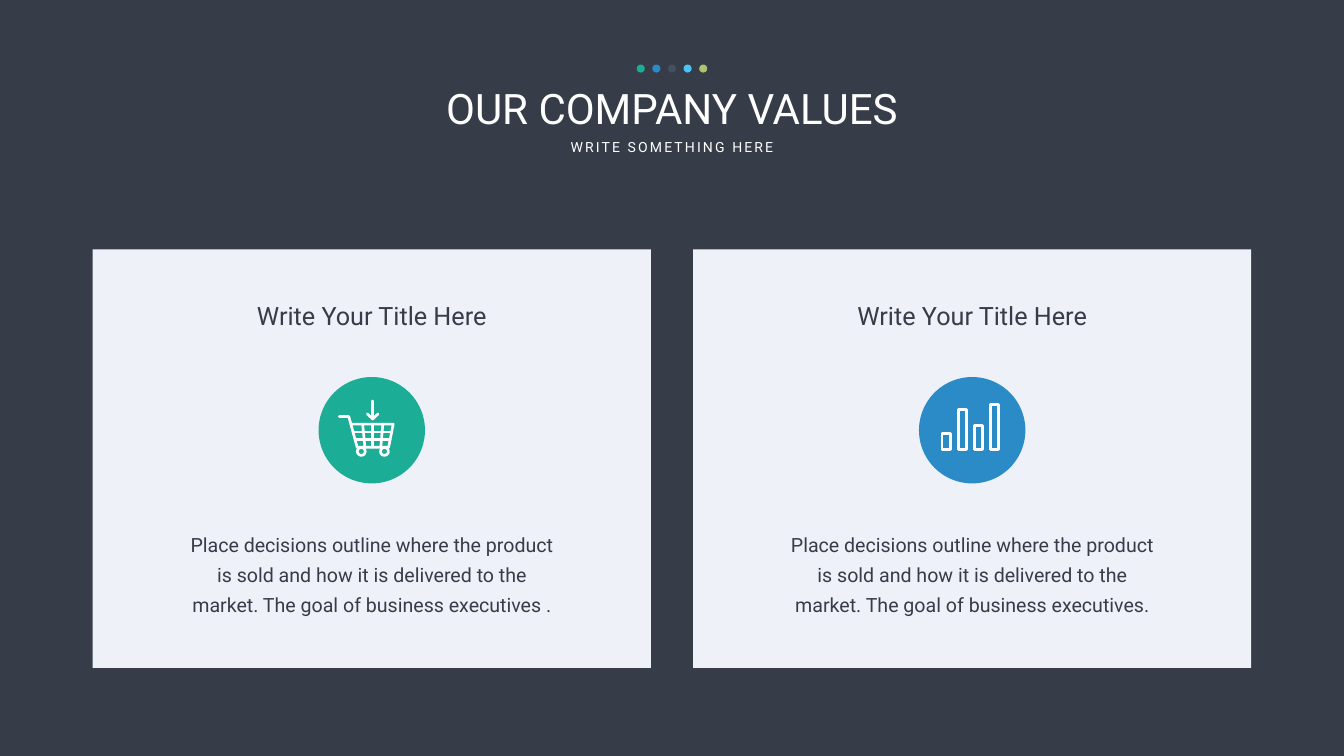
from lxml.etree import SubElement
from pptx import Presentation
from pptx.dml.color import RGBColor
from pptx.enum.shapes import MSO_SHAPE
from pptx.enum.text import MSO_ANCHOR, PP_ALIGN
from pptx.oxml.ns import qn
from pptx.util import Pt

COLORS = {
    "background": "363D48",
    "white": "FFFFFF",
    "card": "EFF1F8",
    "green": "1CAD97",
    "blue": "2B8BC7",
    "slate": "425060",
    "sky": "4EC2F4",
    "lime": "AAC46F",
}
SLIDE_WIDTH, SLIDE_HEIGHT = 1919.5, 1080
SLIDE_CENTER = SLIDE_WIDTH / 2
CARD_LEFT, CARD_TOP, CARD_WIDTH, CARD_HEIGHT, CARD_STEP = 132.5, 356.4, 797, 597.6, 857.5
BADGE_TOP, BADGE_SIZE = 538.6, 152
STROKE = 3.8

# Icon lines, in points from the top left corner of the badge
CART_LINES = [
    [(29.5, 56.5), (43.2, 56.5), (55.1, 100.4), (100.1, 100.4), (106.6, 67.3), (46.1, 67.3)],
    [(63, 67.3), (66.2, 100.4)],
    [(77.4, 67.3), (77.4, 100.4)],
    [(91.8, 67.3), (88.9, 100.4)],
    [(49.3, 78.5), (104.8, 78.5)],
    [(52.6, 89.6), (102.2, 89.6)],
    [(77.4, 34.2), (77.4, 60.1)],
    [(69.8, 52.6), (77.4, 60.1), (85, 52.6)],
]
WHEEL_CENTERS, WHEEL_Y, WHEEL_RADIUS = (61, 94.1), 106.3, 5.7
BAR_TOPS, BAR_BOTTOM = (81, 46.4, 69.5, 39.2), 104
BAR_LEFT, BAR_STEP, BAR_WIDTH = 33.1, 23.04, 11.5


class SlideBuilder:
    """Holds the style and the current slide."""

    def __init__(self, slide):
        self.slide = slide
        self.shapes = slide.shapes
        self.font_name = "Roboto"

    def color(self, name):
        return RGBColor.from_string(COLORS[name])

    def background(self, color):
        fill = self.slide.background.fill
        fill.solid()
        fill.fore_color.rgb = self.color(color)

    def fill_text(self, shape, text, size, color, line_spacing=None, tracking=None, wrap=True):
        frame = shape.text_frame
        frame.word_wrap = wrap
        frame.vertical_anchor = MSO_ANCHOR.TOP
        paragraph = frame.paragraphs[0]
        paragraph.alignment = PP_ALIGN.CENTER
        if line_spacing:
            paragraph.line_spacing = Pt(line_spacing)
        run = paragraph.add_run()
        run.text = text
        for name, value in {"name": self.font_name, "size": Pt(size), "bold": False}.items():
            setattr(run.font, name, value)
        run.font.color.rgb = self.color(color)
        if tracking:
            run.font._element.set("spc", str(tracking * 100))

    def title(self, text, center, top, width, height, **style):
        shape = self.shapes.title
        place = {"left": center - width / 2, "top": top, "width": width, "height": height}
        for name, value in place.items():
            setattr(shape, name, Pt(value))
        self.fill_text(shape, text, **style)

    def text(self, text, center, top, width, height, **style):
        box = self.shapes.add_textbox(Pt(center - width / 2), Pt(top), Pt(width), Pt(height))
        self.fill_text(box, text, **style)

    def shape(self, kind, left, top, width, height, fill, line=None):
        shape = self.shapes.add_shape(kind, Pt(left), Pt(top), Pt(width), Pt(height))
        shape.shadow.inherit = False
        shape.fill.solid()
        shape.fill.fore_color.rgb = self.color(fill)
        if line:
            self.outline(shape, line)
        else:
            shape.line.fill.background()

    def outline(self, shape, color):
        """Give the shape a line with round ends and corners."""
        shape.line.color.rgb = self.color(color)
        shape.line.width = Pt(STROKE)
        line = shape._element.spPr.find(qn("a:ln"))
        line.set("cap", "rnd")
        SubElement(line, qn("a:round"))

    def strokes(self, left, top, lines, color, close=False):
        """Draw all lines as one unfilled freeform, offset by left and top."""
        contours = [[(Pt(left + x), Pt(top + y)) for x, y in line] for line in lines]
        builder = self.shapes.build_freeform(*contours[0][0])
        for index, (start, *rest) in enumerate(contours):
            if index:
                builder.move_to(*start)
            builder.add_line_segments(rest, close=close)
        shape = builder.convert_to_shape()
        shape.shadow.inherit = False
        shape.fill.background()
        self.outline(shape, color)

    def cart(self, left, top, badge_color):
        self.strokes(left, top, CART_LINES, "white")
        for center in WHEEL_CENTERS:
            self.shape(MSO_SHAPE.OVAL, left + center - WHEEL_RADIUS, top + WHEEL_Y - WHEEL_RADIUS,
                       2 * WHEEL_RADIUS, 2 * WHEEL_RADIUS, badge_color, "white")

    def bars(self, left, top, badge_color):
        outlines = []
        for index, bar_top in enumerate(BAR_TOPS):
            x = BAR_LEFT + index * BAR_STEP
            right = x + BAR_WIDTH
            outlines.append([(x, bar_top), (right, bar_top), (right, BAR_BOTTOM), (x, BAR_BOTTOM)])
        self.strokes(left, top, outlines, "white", close=True)

    def card(self, left, heading, body, badge_color, draw_icon):
        center = left + CARD_WIDTH / 2
        badge_left = center - BADGE_SIZE / 2
        self.shape(MSO_SHAPE.RECTANGLE, left, CARD_TOP, CARD_WIDTH, CARD_HEIGHT, "card")
        self.text(body, center, 748.8, 548.6, 136, size=28, color="background", line_spacing=43)
        self.text(heading, center, 424.8, 403, 51, size=36, color="background")
        self.shape(MSO_SHAPE.OVAL, badge_left, BADGE_TOP, BADGE_SIZE, BADGE_SIZE, badge_color)
        draw_icon(badge_left, BADGE_TOP, badge_color)


def main():
    presentation = Presentation()
    presentation.slide_width, presentation.slide_height = Pt(SLIDE_WIDTH), Pt(SLIDE_HEIGHT)
    builder = SlideBuilder(presentation.slides.add_slide(presentation.slide_layouts[5]))
    builder.background("background")

    builder.title("OUR COMPANY VALUES", SLIDE_CENTER, 114.5, 810, 80, size=60, color="white")
    builder.text("WRITE SOMETHING HERE", SLIDE_CENTER, 194.4, 313, 31.7,
                 size=20, color="white", tracking=3, wrap=False)
    for index, color in enumerate(("green", "blue", "slate", "sky", "lime")):
        builder.shape(MSO_SHAPE.OVAL, 909.4 + index * 22.3, 92.2, 11.5, 11.5, color)

    body = ("Place decisions outline where the product is sold and how it is delivered "
            "to the market. The goal of business executives")
    cards = [(" .", "green", builder.cart), (".", "blue", builder.bars)]
    for index, (ending, color, draw_icon) in enumerate(cards):
        builder.card(CARD_LEFT + index * CARD_STEP, "Write Your Title Here",
                     body + ending, color, draw_icon)

    presentation.save("out.pptx")


if __name__ == "__main__":
    main()
